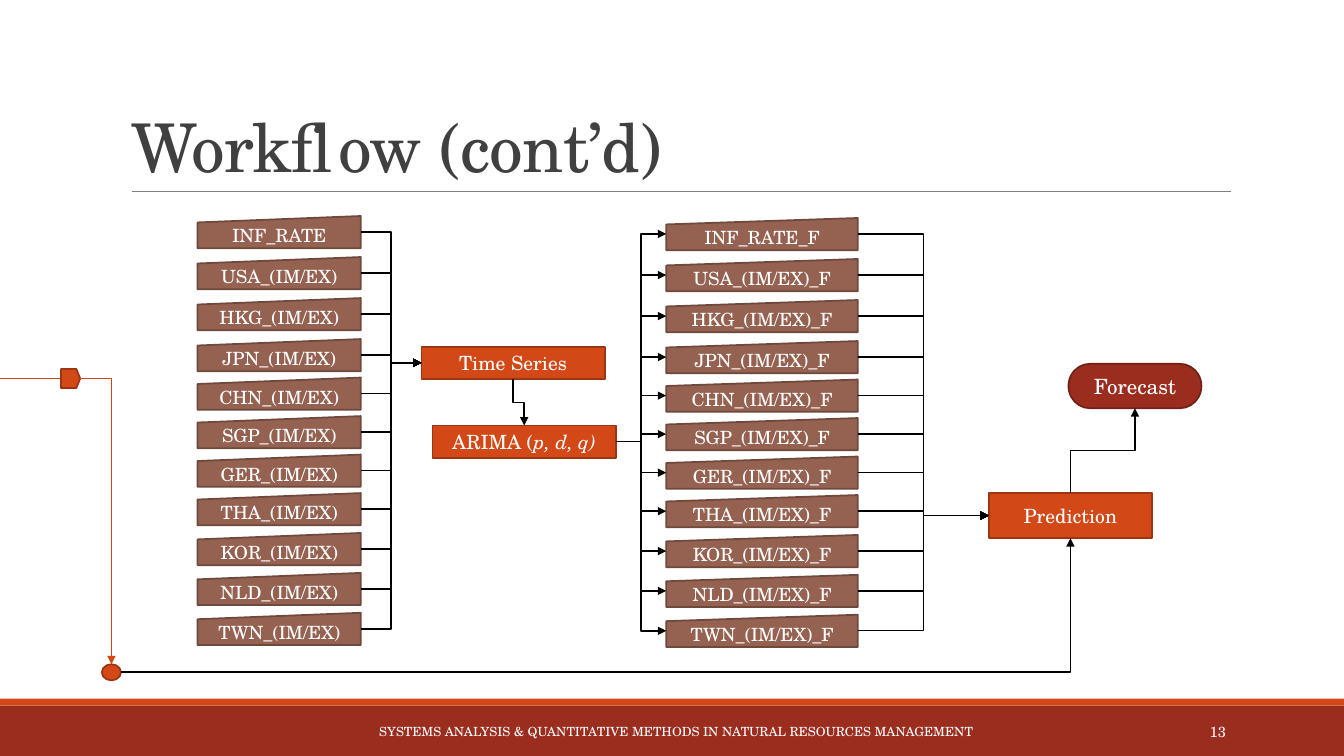
from dataclasses import dataclass
from itertools import accumulate

from lxml import etree
from pptx import Presentation
from pptx.dml.color import RGBColor
from pptx.enum.shapes import MSO_CONNECTOR, MSO_SHAPE
from pptx.enum.text import MSO_ANCHOR, MSO_AUTO_SIZE, PP_ALIGN
from pptx.oxml.ns import qn
from pptx.util import Pt

RECT = MSO_SHAPE.RECTANGLE
STEP = MSO_SHAPE.FLOWCHART_PROCESS
INPUT = MSO_SHAPE.FLOWCHART_MANUAL_INPUT
DISC = MSO_SHAPE.FLOWCHART_CONNECTOR
TAG = MSO_SHAPE.FLOWCHART_OFFPAGE_CONNECTOR
END = MSO_SHAPE.FLOWCHART_TERMINATOR
LINE, ELBOW = MSO_CONNECTOR.STRAIGHT, MSO_CONNECTOR.ELBOW
LEFT, MID, RIGHT = PP_ALIGN.LEFT, PP_ALIGN.CENTER, PP_ALIGN.RIGHT
MIDDLE, BOTTOM = MSO_ANCHOR.MIDDLE, MSO_ANCHOR.BOTTOM
FIXED = MSO_AUTO_SIZE.NONE
TOP_SIDE, LEFT_SIDE, LOW_SIDE, RIGHT_SIDE = range(4)


@dataclass(frozen=True)
class Theme:
    font: str = "TeX Gyre Schola"
    white: str = "FFFFFF"
    black: str = "000000"
    ink: str = "404040"
    gray: str = "808080"
    orange: str = "D34817"
    rust: str = "9C3511"
    red: str = "9B2D1F"
    wine: str = "732117"
    brown: str = "956251"
    umber: str = "6E493C"
    head: float = 48
    goal: float = 15
    step: float = 14
    item: float = 13
    page: float = 10.5
    foot: float = 9


class Board:
    def __init__(self, slide, theme):
        self.slide = slide
        self.theme = theme

    def words(self, shape, runs, size, color, align=MID, anchor=MIDDLE):
        frame = shape.text_frame
        frame.word_wrap = True
        frame.auto_size = FIXED
        frame.vertical_anchor = anchor
        para = frame.paragraphs[0]
        para.alignment = align
        for text, slant in runs:
            run = para.add_run()
            run.text = text
            font = run.font
            font.name = self.theme.font
            font.size = Pt(size)
            font.italic = slant
            font.color.rgb = RGBColor.from_string(color)
        return para

    def title(self, text, box):
        shape = self.slide.shapes.title
        shape.left, shape.top, shape.width, shape.height = map(Pt, box)
        para = self.words(shape, [(text, False)], self.theme.head,
                          self.theme.ink, LEFT, BOTTOM)
        para.line_spacing = 0.85
        para.runs[0].font._element.set("spc", "-50")

    def label(self, text, box, size, align):
        shape = self.slide.shapes.add_textbox(*map(Pt, box))
        self.words(shape, [(text, False)], size, self.theme.white, align)

    def node(self, kind, box, fill, edge=None, runs=(), size=0):
        shape = self.slide.shapes.add_shape(kind, *map(Pt, box))
        shape.shadow.inherit = False
        shape.fill.solid()
        shape.fill.fore_color.rgb = RGBColor.from_string(fill)
        if edge:
            shape.line.color.rgb = RGBColor.from_string(edge)
            shape.line.width = Pt(1.25)
        else:
            shape.line.fill.background()
        if runs:
            self.words(shape, runs, size, self.theme.white)
        return shape

    def line(self, kind, ends, color, width=1, arrow=False):
        link = self.slide.shapes.add_connector(kind, *map(Pt, ends))
        link.line.color.rgb = RGBColor.from_string(color)
        link.line.width = Pt(width)
        props = link._element.spPr
        if arrow:
            etree.SubElement(props.find(qn("a:ln")), qn("a:tailEnd"), type="triangle")
        etree.SubElement(props, qn("a:effectLst"))
        return link

    def join(self, start, goal):
        link = self.line(ELBOW, (0, 0, 1, 1), self.theme.black, arrow=True)
        link.begin_connect(start, RIGHT_SIDE)
        link.end_connect(goal, LEFT_SIDE)

    def rise(self, start, out, goal, into):
        link = self.line(ELBOW, (0, 0, 1, 1), self.theme.black, arrow=True)
        link.begin_connect(start, out)
        link.end_connect(goal, into)
        wide, high = link.width, link.height
        down = link.end_y > link.begin_y
        left = link.left + (wide - high) // 2
        top = link.top + (high - wide) // 2
        link.left, link.top, link.width, link.height = left, top, high, wide
        form = link._element.spPr.find(qn("a:xfrm"))
        form.set("rot", "16200000")
        form.set("flipH", "1" if down else "0")
        form.set("flipV", "0")

    def turn(self, ends, color):
        link = self.line(ELBOW, ends, color, arrow=True)
        link._element.spPr.find(qn("a:prstGeom")).set("prst", "bentConnector2")
        return link


def main():
    deck = Presentation()
    deck.slide_width, deck.slide_height = Pt(960), Pt(540)
    look = Theme()
    board = Board(deck.slides.add_slide(deck.slide_layouts[5]), look)

    board.node(RECT, (0, 504, 960, 36), look.red)
    board.node(RECT, (0, 499, 960, 5), look.orange)
    board.line(LINE, (94.3, 136.8, 879.1, 136.8), look.gray, 0.5)
    board.title("Workflow (cont’d)", (86.4, 22.3, 792, 114.5))
    board.label("SYSTEMS ANALYSIS & QUANTITATIVE METHODS IN NATURAL RESOURCES MANAGEMENT",
                (199.4, 508.3, 566.6, 28.8), look.foot, MID)
    board.label("13", (779.8, 508.3, 103, 28.8), look.page, RIGHT)

    board.line(LINE, (0, 270.4, 43.9, 270.4), look.orange)
    board.node(DISC, (72.7, 474.5, 13.7, 11.5), look.orange, look.rust)
    tag = board.node(TAG, (43.6, 263.5, 13.7, 13.7), look.orange, look.rust)
    tag.rotation = 270
    board.turn((57.2, 270.4, 79.6, 474.5), look.orange)

    def step(text, box, *more):
        return board.node(STEP, box, look.orange, look.rust,
                          [(text, False), *more], look.step)

    series = step("Time Series", (301, 247.7, 131, 23))
    model = step("ARIMA (", (308.9, 303.9, 131, 23), ("p, d, q)", True))
    guess = step("Prediction", (706.3, 352.1, 116.6, 32.4))
    goal = board.node(END, (763.2, 259.9, 95, 31.7), look.red, look.wine,
                      [("Forecast", False)], look.goal)

    lands = "USA HKG JPN CHN SGP GER THA KOR NLD TWN".split()
    names = ["INF_RATE"] + [f"{land}_(IM/EX)" for land in lands]
    tops = accumulate([29.3] * 3 + [27.5] * 4 + [28.5] * 3, initial=154.3)

    def item(text, box):
        return board.node(INPUT, box, look.brown, look.umber,
                          [(text, False)], look.item)

    for name, top in zip(names, tops):
        past = item(name, (141.1, top, 116.6, 23))
        board.join(past, series)
        ahead = item(f"{name}_F", (475.9, top + 1.4, 136.8, 23))
        board.join(model, ahead)
        board.join(ahead, guess)

    board.rise(series, LOW_SIDE, model, TOP_SIDE)
    board.rise(guess, TOP_SIDE, goal, LOW_SIDE)
    route = board.turn((86.4, 480.2, 764.6, 384.5), look.black)
    route.end_connect(guess, LOW_SIDE)

    deck.save("out.pptx")


if __name__ == "__main__":
    main()
